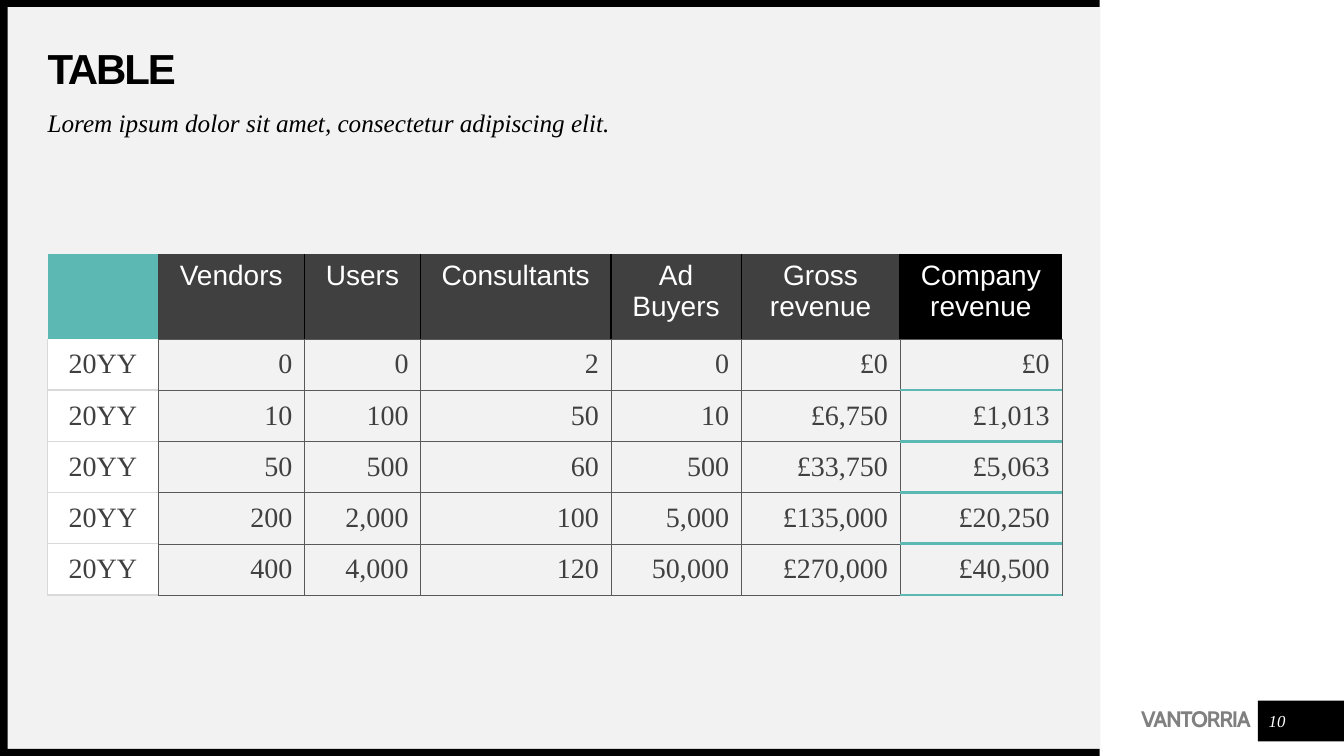
from lxml.etree import SubElement
from pptx import Presentation
from pptx.dml.color import RGBColor
from pptx.enum.shapes import MSO_SHAPE as Shape
from pptx.enum.text import MSO_ANCHOR as Anchor, MSO_AUTO_SIZE as AutoSize, PP_ALIGN as Align
from pptx.oxml.ns import qn
from pptx.util import Pt

COLORS = {
    "black": "000000", "white": "FFFFFF", "panel": "F2F2F2", "dark": "404040",
    "grid": "595959", "pale": "D9D9D9", "teal": "5CB8B3", "gray": "808080",
}
SANS, SERIF, BRAND = "Arial", "Times New Roman", "Cabin"

HEADINGS = ["", "Vendors", "Users", "Consultants", "Ad Buyers", "Gross revenue", "Company revenue"]
FIGURES = [
    ["20YY", "0", "0", "2", "0", "£0", "£0"],
    ["20YY", "10", "100", "50", "10", "£6,750", "£1,013"],
    ["20YY", "50", "500", "60", "500", "£33,750", "£5,063"],
    ["20YY", "200", "2,000", "100", "5,000", "£135,000", "£20,250"],
    ["20YY", "400", "4,000", "120", "50,000", "£270,000", "£40,500"],
]
COLUMN_WIDTHS = [79, 104.5, 83, 136, 93, 113.5, 115.5]
HEADER_HEIGHT, ROW_HEIGHT = 60.5, 36.6
LAST = len(HEADINGS) - 1
HAIRLINE, DIVIDER = ("grid", 0.25), ("black", 1)
YEAR_RULE, REVENUE_RULE = ("pale", 1), ("teal", 2.25)


def cell_borders(row, column):
    if row == 0:
        if column == 0:
            return {}
        borders = {"B": HAIRLINE}
        if column > 1:
            borders["L"] = DIVIDER
        if column < LAST:
            borders["R"] = DIVIDER
        return borders
    borders = dict.fromkeys("LRTB", HAIRLINE)
    if column == 0:
        borders.update(L=YEAR_RULE, B=YEAR_RULE)
        if row > 1:
            borders["T"] = YEAR_RULE
        else:
            del borders["T"]
    elif column == LAST:
        borders["B"] = REVENUE_RULE
        if row > 1:
            borders["T"] = REVENUE_RULE
    return borders


def cell_fill(row, column):
    if row == 0:
        return {0: "teal", LAST: "black"}.get(column, "dark")
    return {0: "white", LAST - 1: "panel"}.get(column)


class Deck:
    def __init__(self, width, height):
        self.presentation = Presentation()
        self.presentation.slide_width = Pt(width)
        self.presentation.slide_height = Pt(height)
        self.slide = self.presentation.slides.add_slide(self.presentation.slide_layouts[5])

    def color(self, name):
        return RGBColor.from_string(COLORS[name])

    def block(self, left, top, width, height, fill):
        block = self.slide.shapes.add_shape(Shape.RECTANGLE, Pt(left), Pt(top), Pt(width), Pt(height))
        block.shadow.inherit = False
        block.fill.solid()
        block.fill.fore_color.rgb = self.color(fill)
        block.line.fill.background()

    def set_words(self, frame, words, size, face, color, align=Align.LEFT, bold=False,
                  italic=False, leading=None, tracking=None):
        paragraph = frame.paragraphs[0]
        run = paragraph.add_run()
        run.text = words
        paragraph.alignment = align
        if leading:
            paragraph.line_spacing = leading
        font = paragraph.font
        font.size, font.name, font.bold, font.italic = Pt(size), face, bold, italic
        font.color.rgb = self.color(color)
        if tracking:
            run._r.get_or_add_rPr().set("spc", str(int(tracking * 100)))

    def fit(self, frame, anchor, top_inset=0):
        frame.margin_left = frame.margin_right = frame.margin_bottom = 0
        frame.margin_top = Pt(top_inset)
        frame.word_wrap = True
        frame.auto_size = AutoSize.NONE
        frame.vertical_anchor = anchor

    def title(self, words, left, top, width, height, **style):
        title = self.slide.shapes.title
        title.left, title.top, title.width, title.height = Pt(left), Pt(top), Pt(width), Pt(height)
        self.slide.shapes._spTree.append(title._element)
        self.fit(title.text_frame, Anchor.MIDDLE)
        self.set_words(title.text_frame, words, **style)

    def text(self, words, left, top, width, height, anchor=Anchor.TOP, top_inset=0, **style):
        box = self.slide.shapes.add_textbox(Pt(left), Pt(top), Pt(width), Pt(height))
        self.fit(box.text_frame, anchor, top_inset)
        self.set_words(box.text_frame, words, **style)

    def outline(self, cell, borders):
        properties = cell._tc.get_or_add_tcPr()
        for side in "LRTB":
            line = SubElement(properties, qn("a:ln" + side))
            if side in borders:
                color, weight = borders[side]
                line.set("w", str(Pt(weight)))
                SubElement(SubElement(line, qn("a:solidFill")), qn("a:srgbClr")).set("val", COLORS[color])
            else:
                SubElement(line, qn("a:noFill"))

    def table(self, left, top, rows, widths, heights):
        table = self.slide.shapes.add_table(
            len(rows), len(widths), Pt(left), Pt(top), Pt(sum(widths)), Pt(sum(heights))).table
        table.first_row = table.horz_banding = False
        for column, width in zip(table.columns, widths):
            column.width = Pt(width)
        for table_row, height in zip(table.rows, heights):
            table_row.height = Pt(height)
        for row, entries in enumerate(rows):
            for column, entry in enumerate(entries):
                cell = table.cell(row, column)
                cell.margin_left = cell.margin_right = Pt(8.64)
                cell.margin_top = cell.margin_bottom = Pt(4.32)
                cell.vertical_anchor = Anchor.MIDDLE if row else Anchor.TOP
                self.outline(cell, cell_borders(row, column))
                fill = cell_fill(row, column)
                if fill:
                    cell.fill.solid()
                    cell.fill.fore_color.rgb = self.color(fill)
                else:
                    cell.fill.background()
                if entry:
                    self.set_words(cell.text_frame, entry, 20, SERIF if row else SANS,
                                   "dark" if row else "white",
                                   Align.RIGHT if row and column else Align.CENTER)


def main():
    deck = Deck(960, 540)
    deck.block(5.5, 5, 780.5, 530, "panel")
    deck.block(898.5, 500.5, 61.5, 29, "black")
    deck.text("VANTORRIA", 762.5, 506, 131, 18, top_inset=3, size=16, face=BRAND, color="gray",
              align=Align.RIGHT, bold=True, leading=Pt(14), tracking=-1)
    deck.block(0, 535, 785.5, 5, "black")
    deck.block(0, 0, 785.5, 5, "black")
    deck.block(0, 0, 5.5, 540, "black")
    deck.title("TABLE", 34, 34, 724.5, 34, size=30, face=SANS, color="black",
               bold=True, leading=0.9, tracking=-1.5)
    deck.text("Lorem ipsum dolor sit amet, consectetur adipiscing elit.", 34, 79, 724.5, 28,
              size=18, face=SERIF, color="black", italic=True, leading=0.9)
    deck.text("10", 901.5, 504, 21.5, 21.5, anchor=Anchor.MIDDLE, size=12, face=SERIF,
              color="white", align=Align.CENTER, italic=True)
    deck.table(34, 181.5, [HEADINGS] + FIGURES, COLUMN_WIDTHS,
               [HEADER_HEIGHT] + [ROW_HEIGHT] * len(FIGURES))
    deck.presentation.save("out.pptx")


if __name__ == "__main__":
    main()
